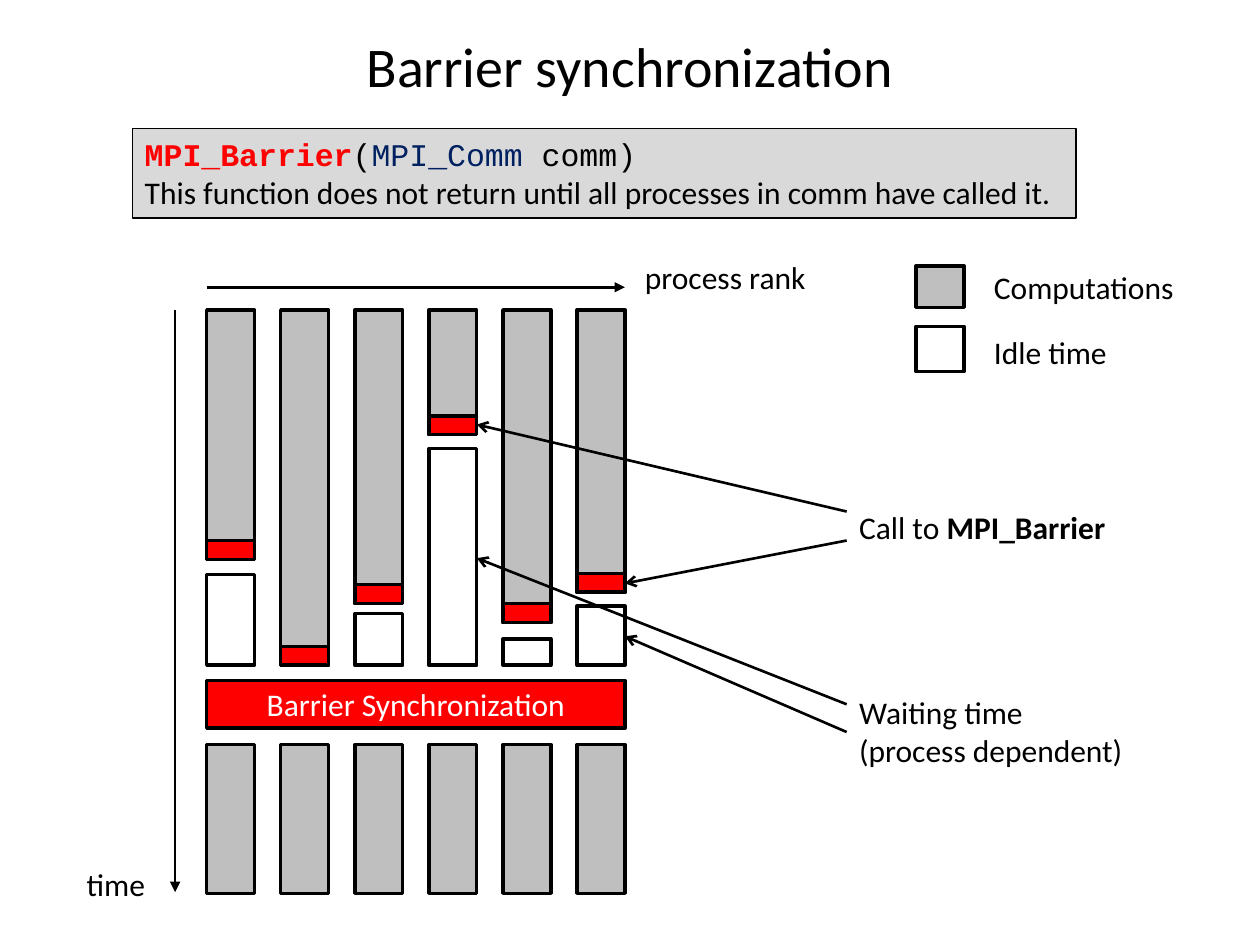
from dataclasses import dataclass

from lxml.etree import SubElement
from pptx import Presentation
from pptx.dml.color import RGBColor
from pptx.enum.shapes import MSO_CONNECTOR as Link, MSO_SHAPE as Kind
from pptx.enum.text import MSO_ANCHOR as Anchor, MSO_AUTO_SIZE as Fit, PP_ALIGN as Align
from pptx.oxml.ns import qn
from pptx.util import Inches, Pt


@dataclass(frozen=True)
class Theme:
    black: str = "000000"
    white: str = "FFFFFF"
    gray: str = "BFBFBF"
    pale: str = "D9D9D9"
    red: str = "FF0000"
    navy: str = "002060"
    sans: str = "Calibri"
    mono: str = "Courier New"
    title: int = 32
    body: int = 18
    edge: float = 2
    thin: float = 0.75
    arrow: float = 1.5


@dataclass
class Run:
    text: str
    color: str = Theme.black
    font: str = Theme.sans
    bold: bool = False


class Deck:
    def __init__(self, theme, slide):
        self.theme, self.slide = theme, slide

    def label(self, shape, lines, size=None, align=Align.LEFT, anchor=Anchor.TOP, wrap=False):
        """Fill a shape with lines, each a list of runs."""
        frame = shape.text_frame
        frame.word_wrap = wrap
        frame.auto_size = Fit.NONE
        frame.vertical_anchor = anchor
        for i, line in enumerate(lines):
            para = frame.add_paragraph() if i else frame.paragraphs[0]
            para.alignment = align
            for part in line:
                run = para.add_run()
                run.text = part.text
                font = run.font
                font.name, font.bold = part.font, part.bold
                font.size = Pt(size or self.theme.body)
                font.color.rgb = RGBColor.from_string(part.color)

    def text(self, x, y, w, h, lines, **style):
        box = self.slide.shapes.add_textbox(*map(Inches, (x, y, w, h)))
        self.label(box, lines, **style)

    def rect(self, x, y, w, h, fill, edge=None):
        box = self.slide.shapes.add_shape(Kind.RECTANGLE, *map(Inches, (x, y, w, h)))
        box.shadow.inherit = False
        box.fill.solid()
        box.fill.fore_color.rgb = RGBColor.from_string(fill)
        box.line.color.rgb = RGBColor.from_string(self.theme.black)
        box.line.width = Pt(edge or self.theme.edge)
        return box

    def arrow(self, start, end, head="arrow"):
        ends = map(Inches, (*start, *end))
        link = self.slide.shapes.add_connector(Link.STRAIGHT, *ends)
        link.line.color.rgb = RGBColor.from_string(self.theme.black)
        link.line.width = Pt(self.theme.arrow)
        props = link._element.spPr
        SubElement(props.find(qn("a:ln")), qn("a:tailEnd"), type=head)
        SubElement(props, qn("a:effectLst"))


LEFT, STEP, BAR = 1.64, 0.588, 0.38
RIGHT = LEFT + 5 * STEP + BAR
TOP, MEET, CALL = 2.46, 5.28, 0.15
NOTE = 6.72

# Top of the barrier call and of the idle time, by process rank
RANKS = [(4.29, 4.56), (5.13, None), (4.64, 4.87),
         (3.3, 3.56), (4.79, 5.07), (4.55, 4.81)]


def main():
    prs = Presentation()
    prs.slide_width, prs.slide_height = Inches(10), Inches(7.5)
    theme = Theme()
    deck = Deck(theme, prs.slides.add_slide(prs.slide_layouts[6]))

    deck.text(0.5, 0.17, 9, 0.7, [[Run("Barrier synchronization")]], size=theme.title,
              align=Align.CENTER, anchor=Anchor.MIDDLE, wrap=True)
    panel = deck.rect(1.05, 1.02, 7.49, 0.71, theme.pale, theme.thin)
    deck.label(panel, [
        [Run("MPI_Barrier", theme.red, theme.mono, True),
         Run("(", font=theme.mono),
         Run("MPI_Comm", theme.navy, theme.mono),
         Run(" comm)", font=theme.mono)],
        [Run("This function does not return until all processes in comm have called it.")],
    ])

    # Axes
    deck.arrow((1.39, TOP), (1.39, 7.08), "triangle")
    deck.arrow((LEFT, 2.28), (RIGHT, 2.28), "triangle")
    deck.text(0.59, 6.82, 0.67, 0.4, [[Run("time")]])
    deck.text(5.02, 2, 1.49, 0.4, [[Run("process rank")]])

    # Processes before and after the barrier
    for i, (call, idle) in enumerate(RANKS):
        x = LEFT + i * STEP
        deck.rect(x, TOP, BAR, call + CALL - TOP, theme.gray)
        deck.rect(x, call, BAR, CALL, theme.red)
        if idle:
            deck.rect(x, idle, BAR, MEET - idle, theme.white)
        deck.rect(x, 5.91, BAR, 1.18, theme.gray)
    wall = deck.rect(LEFT, 5.4, RIGHT - LEFT, 0.38, theme.red)
    deck.label(wall, [[Run("Barrier Synchronization", theme.white)]],
               align=Align.CENTER, anchor=Anchor.MIDDLE)

    # Notes, pointing at ranks 3 and 5
    inner = LEFT + 3 * STEP + BAR
    deck.text(NOTE, 3.98, 2.18, 0.4, [[Run("Call to "), Run("MPI_Barrier", bold=True)]])
    deck.text(NOTE, 5.45, 2.32, 0.71, [[Run("Waiting time")], [Run("(process dependent)")]])
    for y, end in [(4.06, (inner, 3.37)), (4.29, (RIGHT, 4.63)),
                   (5.59, (inner, 4.43)), (5.81, (RIGHT, 5.05))]:
        deck.arrow((NOTE, y), end)

    # Legend
    for y, h, fill, top, name in [(2.11, 0.33, theme.gray, 2.08, "Computations"),
                                  (2.59, 0.36, theme.white, 2.59, "Idle time")]:
        deck.rect(7.27, y, BAR, h, fill)
        deck.text(7.79, top, 1.64, 0.4, [[Run(name)]])

    prs.save("out.pptx")


if __name__ == "__main__":
    main()
